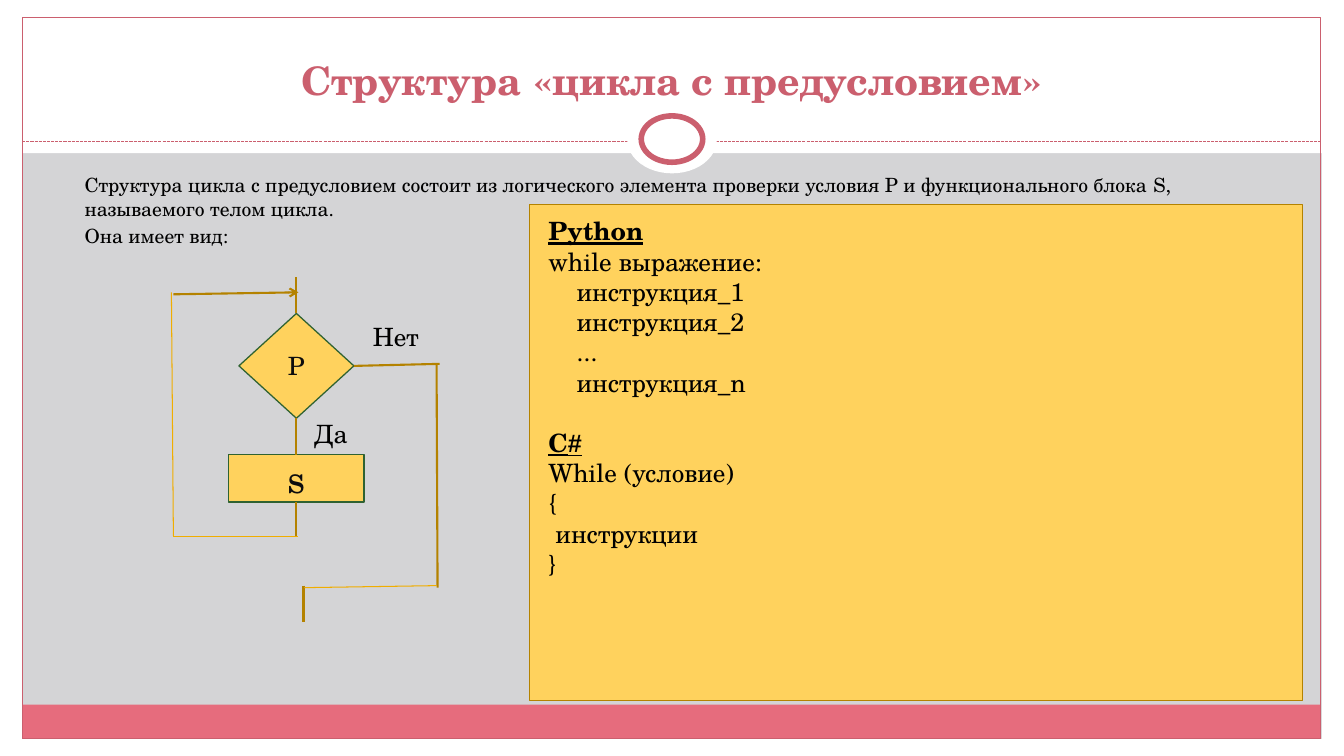
"""Builds a slide on the structure of a loop with a precondition."""
from dataclasses import dataclass

from lxml import etree
from pptx import Presentation
from pptx.dml.color import RGBColor
from pptx.enum.dml import MSO_LINE
from pptx.enum.shapes import MSO_CONNECTOR, MSO_SHAPE
from pptx.enum.text import MSO_ANCHOR, MSO_AUTO_SIZE, PP_ALIGN
from pptx.oxml.ns import qn
from pptx.util import Inches, Pt

RECT = MSO_SHAPE.RECTANGLE
OVAL = MSO_SHAPE.OVAL
CHOICE = MSO_SHAPE.FLOWCHART_DECISION
STRAIGHT = MSO_CONNECTOR.STRAIGHT
DASH = MSO_LINE.SQUARE_DOT
CENTER = PP_ALIGN.CENTER
MIDDLE = MSO_ANCHOR.MIDDLE
BOTTOM = MSO_ANCHOR.BOTTOM
FIXED = MSO_AUTO_SIZE.NONE
TOP, LOW, RIGHT = 0, 2, 3


@dataclass(frozen=True)
class Theme:
    font: str = "TeX Gyre Schola"
    sign: str = "Arial"
    back: str = "D4D4D6"
    white: str = "FFFFFF"
    black: str = "000000"
    ink: str = "0D0D0D"
    rose: str = "CB5F6E"
    pink: str = "E66C7D"
    gold: str = "FFD25D"
    brown: str = "B48200"
    amber: str = "F0AD00"
    green: str = "2F6231"
    title: int = 28
    body: int = 14
    code: int = 18
    block: int = 28
    fine: float = 0.75
    edge: float = 0.9
    bold: float = 1.5
    ring: float = 4


@dataclass(frozen=True)
class Box:
    at: tuple[float, float, float, float]
    fill: str | None = None
    line: str | None = None
    width: float = 0
    kind: int = RECT
    text: str = ""
    size: int = 0


@dataclass(frozen=True)
class Wire:
    ends: tuple[float, float, float, float]
    color: str
    width: float
    start: tuple[str, int] | None = None
    stop: tuple[str, int] | None = None
    arrow: bool = False
    dash: bool = False


@dataclass(frozen=True)
class Row:
    text: str
    indent: float = 0
    before: float = 0
    head: bool = False
    sign: str = ""


T = Theme()
FRAME = [
    Box((0, 7.33, 13.33, 0.17), T.white),
    Box((0, 0, 13.33, 1.52), T.white),
    Box((0, 0, 0.22, 7.5), T.white),
    Box((13.11, 0, 0.22, 7.5), T.white),
    Box((0.22, 6.99, 12.88, 0.34), T.pink),
    Box((0.22, 0.17, 12.88, 7.16), None, T.rose, T.fine),
]
RULE = Wire((0.22, 1.4, 13.1, 1.4), T.rose, T.fine, dash=True)
RING = [
    Box((6.22, 1.05, 0.89, 0.67), T.white, kind=OVAL),
    Box((6.36, 1.15, 0.61, 0.46), T.white, T.rose, T.ring, OVAL),
]
PANEL = Box((5.25, 2.03, 7.67, 4.92), T.gold, T.brown, T.edge)
NODES = [
    Box((2.37, 3.11, 1.14, 1.04), T.gold, T.green, T.edge, CHOICE, "P", T.code),
    Box((2.27, 4.51, 1.34, 0.47), T.gold, T.green, T.edge, RECT, "s", T.block),
]
WIRES = [
    Wire((2.94, 2.75, 2.94, 3.11), T.brown, T.bold, stop=("P", TOP)),
    Wire((2.94, 4.15, 2.94, 4.51), T.brown, T.bold, ("P", LOW), ("s", TOP)),
    Wire((2.94, 4.98, 2.94, 5.32), T.brown, T.bold, ("s", LOW)),
    Wire((3.51, 3.63, 4.36, 3.61), T.brown, T.bold, ("P", RIGHT)),
    Wire((4.33, 3.62, 4.34, 5.83), T.brown, T.bold),
    Wire((1.72, 2.92, 2.96, 2.9), T.brown, T.bold, arrow=True),
    Wire((3.01, 5.81, 3.01, 6.17), T.brown, T.bold),
    Wire((4.33, 5.81, 3.02, 5.83), T.amber, T.fine),
    Wire((1.72, 5.32, 2.96, 5.32), T.amber, T.fine),
    Wire((1.7, 2.9, 1.72, 5.32), T.amber, T.fine),
]
INTRO = [
    Row("Структура цикла с предусловием состоит из логического элемента проверки "
        "условия Р и функционального блока S, называемого телом цикла.", 0.3, 2.8),
    Row("Она имеет вид:", 0.3, 2.8),
]
CODE = [
    Row("Python", head=True),
    Row("while выражение:"),
    Row("инструкция_1", 0.28),
    Row("инструкция_2", 0.28),
    Row("...", 0.28),
    Row("инструкция_n", 0.28),
    Row("С", before=21.6, head=True, sign="#"),
    Row("While (условие)"),
    Row("{"),
    Row("инструкции", 0.07),
    Row("}"),
]
TEXTS = [
    ((0.44, 1.67, 12.4, 0.86), INTRO, T.body),
    ((3.02, 4.1, 0.59, 0.4), [Row("Да")], T.code),
    ((3.6, 3.14, 0.68, 0.4), [Row("Нет")], T.code),
    ((5.34, 2.09, 7.62, 3.74), CODE, T.code),
]


def paint(font, size: float, color: str) -> None:
    font.name = T.font
    font.size = Pt(size)
    font.color.rgb = RGBColor.from_string(color)


def draw_box(slide, box: Box):
    shape = slide.shapes.add_shape(box.kind, *map(Inches, box.at))
    shape.shadow.inherit = False
    if box.fill:
        shape.fill.solid()
        shape.fill.fore_color.rgb = RGBColor.from_string(box.fill)
    else:
        shape.fill.background()
    if box.line:
        shape.line.color.rgb = RGBColor.from_string(box.line)
        shape.line.width = Pt(box.width)
    else:
        shape.line.fill.background()
    if box.text:
        frame = shape.text_frame
        frame.text = box.text
        frame.vertical_anchor = MIDDLE
        para = frame.paragraphs[0]
        para.alignment = CENTER
        paint(para.font, box.size, T.ink)
    return shape


def draw_wire(slide, wire: Wire, nodes: dict) -> None:
    link = slide.shapes.add_connector(STRAIGHT, *map(Inches, wire.ends))
    link.line.color.rgb = RGBColor.from_string(wire.color)
    link.line.width = Pt(wire.width)
    if wire.dash:
        link.line.dash_style = DASH
    if wire.arrow:
        etree.SubElement(link.get_or_add_ln(), qn("a:tailEnd"), type="arrow")
    etree.SubElement(link.element.spPr, qn("a:effectLst"))
    if wire.start:
        name, site = wire.start
        link.begin_connect(nodes[name], site)
    if wire.stop:
        name, site = wire.stop
        link.end_connect(nodes[name], site)


def draw_text(slide, at: tuple, rows: list[Row], size: int) -> None:
    frame = slide.shapes.add_textbox(*map(Inches, at)).text_frame
    frame.word_wrap = True
    for i, row in enumerate(rows):
        para = frame.add_paragraph() if i else frame.paragraphs[0]
        para.space_before = Pt(row.before)
        para.add_run().text = row.text
        paint(para.font, size, T.black)
        para.font.bold = para.font.underline = row.head
        if row.indent:
            para._p.get_or_add_pPr().set("marL", str(Inches(row.indent)))
        if row.sign:
            sign = para.add_run()
            sign.text = row.sign
            sign.font.name = T.sign


def set_title(slide, text: str) -> None:
    title = slide.shapes.title
    title.element.getparent().append(title.element)
    title.left, title.top, title.width, title.height = map(
        Inches, (0.44, 0.25, 12.44, 0.83))
    frame = title.text_frame
    frame.text = text
    frame.auto_size = FIXED
    frame.vertical_anchor = BOTTOM
    para = frame.paragraphs[0]
    para.alignment = CENTER
    paint(para.font, T.title, T.rose)
    para.font.bold = True


def main() -> None:
    deck = Presentation()
    deck.slide_width, deck.slide_height = Inches(13.33), Inches(7.5)
    slide = deck.slides.add_slide(deck.slide_layouts[5])
    slide.background.fill.solid()
    slide.background.fill.fore_color.rgb = RGBColor.from_string(T.back)
    for box in FRAME:
        draw_box(slide, box)
    draw_wire(slide, RULE, {})
    for box in [*RING, PANEL]:
        draw_box(slide, box)
    set_title(slide, "Структура «цикла с предусловием»")
    nodes = {box.text: draw_box(slide, box) for box in NODES}
    for wire in WIRES:
        draw_wire(slide, wire, nodes)
    for at, rows, size in TEXTS:
        draw_text(slide, at, rows, size)
    deck.save("out.pptx")


if __name__ == "__main__":
    main()
